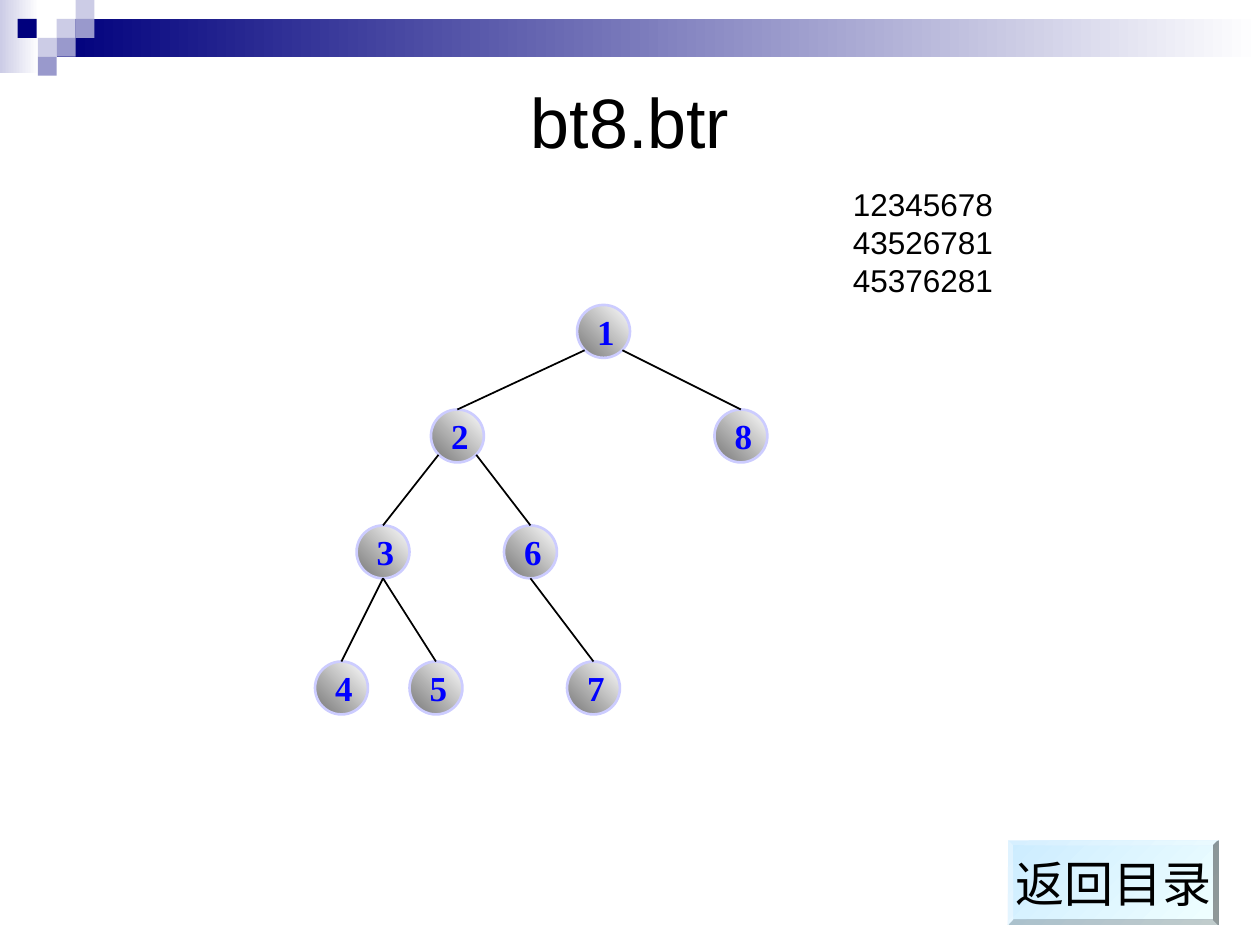
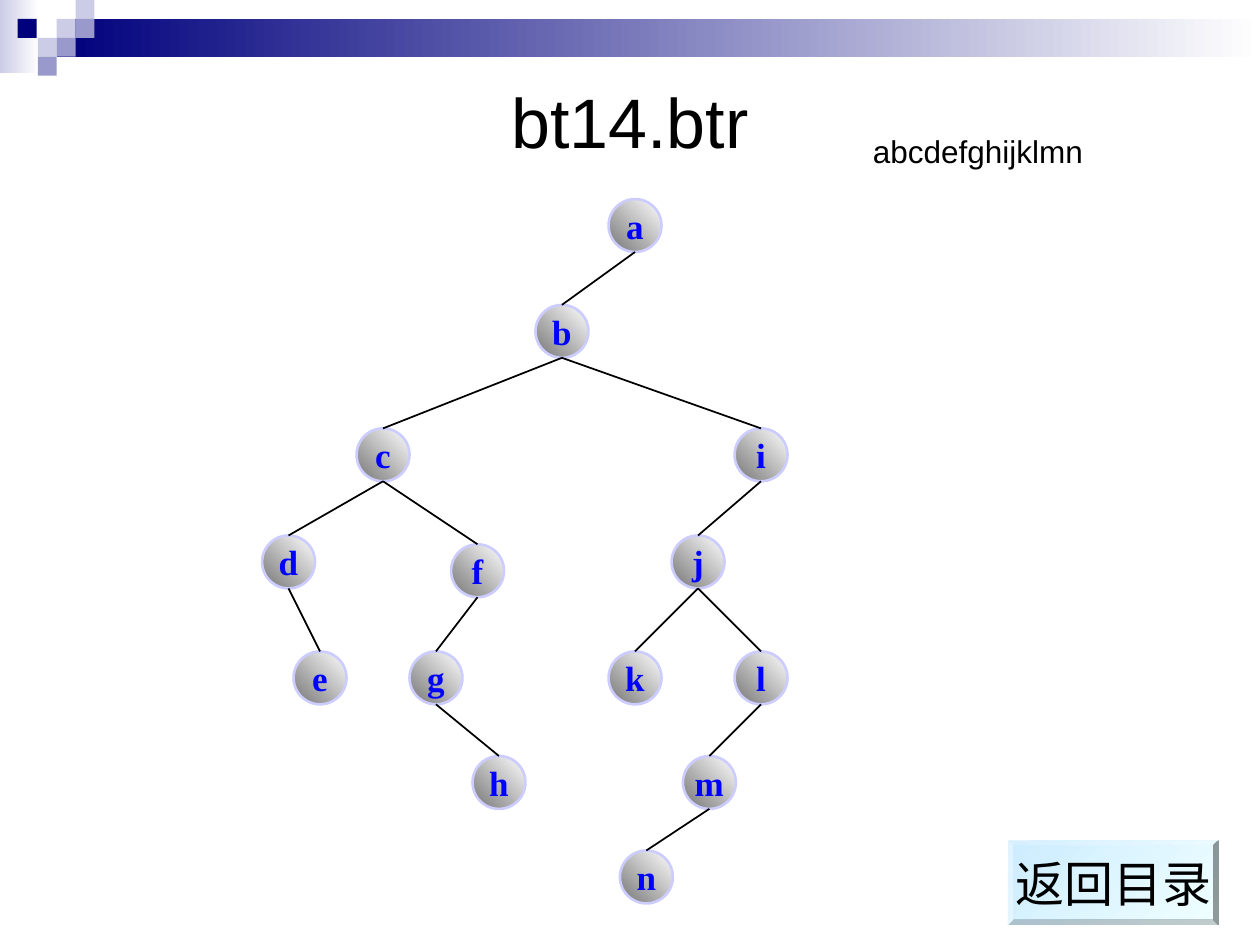
from dataclasses import dataclass

from lxml import etree
from pptx import Presentation
from pptx.dml.color import RGBColor
from pptx.enum import shapes as es, text as et
from pptx.oxml import ns
from pptx.util import Inches, Pt

NAVY = RGBColor(0x00, 0x00, 0x7D)
LILAC = RGBColor(0x99, 0x99, 0xCC)
PALE_LILAC = RGBColor(0xCC, 0xCC, 0xE6)
NODE_EDGE = RGBColor(0xCC, 0xCC, 0xFF)
NODE_DARK = RGBColor(0x76, 0x76, 0x76)
NODE_TEXT = RGBColor(0x00, 0x00, 0xFF)
BUTTON_BLUE = RGBColor(0xCC, 0xEC, 0xFF)
BUTTON_LIGHT = RGBColor(0xF0, 0xFF, 0xFF)
WHITE = RGBColor(0xFF, 0xFF, 0xFF)
BLACK = RGBColor(0x00, 0x00, 0x00)
SANS, SERIF = "Arial", "Times New Roman"
NODE_SIZE = 0.42
FORK_OFFSET = 0.15
TILE = 0.15


@dataclass(frozen=True)
class Node:
    key: str
    left: float
    top: float
    children: str = ""
    forks_at_sides: bool = False


@dataclass(frozen=True)
class Tree:
    title: str
    orders: tuple[str, ...]
    orders_box: tuple[float, float, float, float]
    align: et.PP_ALIGN
    nodes: tuple[Node, ...]


@dataclass(frozen=True)
class Band:
    left: float
    top: float
    width: float
    height: float
    start: RGBColor
    end: RGBColor | None = None


BANNER = (
    Band(0, 0, 0.31, 0.58, PALE_LILAC, WHITE),
    Band(0.45, 0.15, 9.55, 0.3, NAVY, WHITE),
    Band(0.14, 0.15, TILE, TILE, NAVY),
    *(Band(col * TILE, row * TILE, TILE, TILE, color) for col, row, color in (
        (3, 1, PALE_LILAC), (4, 0, PALE_LILAC), (4, 1, LILAC),
        (2, 2, PALE_LILAC), (3, 2, LILAC), (2, 3, LILAC))),
)

TREES = (
    Tree("bt8.btr", ("12345678", "43526781", "45376281"),
         (6.67, 1.42, 3.17, 1), et.PP_ALIGN.LEFT, (
             Node("1", 4.58, 2.42, "28", True),
             Node("2", 3.42, 3.25, "36", True),
             Node("8", 5.67, 3.25),
             Node("3", 2.83, 4.17, "45"),
             Node("6", 4, 4.17, "7"),
             Node("4", 2.5, 5.25),
             Node("5", 3.25, 5.25),
             Node("7", 4.5, 5.25))),
    Tree("bt14.btr", ("abcdefghijklmn",),
         (6.83, 1, 2.17, 0.4), et.PP_ALIGN.CENTER, (
             Node("a", 4.83, 1.58, "b"),
             Node("b", 4.25, 2.42, "ci"),
             Node("c", 2.83, 3.4, "df"),
             Node("i", 5.83, 3.4, "j"),
             Node("d", 2.08, 4.25, "e"),
             Node("f", 3.58, 4.32, "g"),
             Node("j", 5.33, 4.25, "kl"),
             Node("e", 2.33, 5.17),
             Node("g", 3.25, 5.17, "h"),
             Node("k", 4.83, 5.17),
             Node("l", 5.83, 5.17, "m"),
             Node("h", 3.75, 6),
             Node("m", 5.42, 6, "n"),
             Node("n", 4.92, 6.75))),
)


def fill_gradient(shape, start: RGBColor, end: RGBColor, angle: float) -> None:
    shape.fill.gradient()
    shape.fill.gradient_angle = angle
    for stop, color in zip(shape.fill.gradient_stops, (start, end)):
        stop.color.rgb = color


def write(shape, content: str, size: float, color: RGBColor, font: str = SANS,
          bold: bool = False, align: et.PP_ALIGN = et.PP_ALIGN.CENTER,
          anchor: et.MSO_ANCHOR = et.MSO_ANCHOR.MIDDLE, wrap: bool = False) -> None:
    frame = shape.text_frame
    frame.text = content
    frame.word_wrap = wrap
    frame.vertical_anchor = anchor
    for paragraph in frame.paragraphs:
        paragraph.alignment = align
        for run in paragraph.runs:
            run.font.name, run.font.size, run.font.bold = font, Pt(size), bold
            run.font.color.rgb = color


def add_plain_shape(slide, kind, left: float, top: float, width: float, height: float):
    shape = slide.shapes.add_shape(
        kind, Inches(left), Inches(top), Inches(width), Inches(height))
    shape.shadow.inherit = False
    shape.line.fill.background()
    return shape


def move_banner_to_layout(slide, layout) -> None:
    for placeholder in list(layout.placeholders):
        if placeholder.placeholder_format.type != es.PP_PLACEHOLDER.TITLE:
            placeholder.element.getparent().remove(placeholder.element)
    for position, band in enumerate(BANNER, start=2):
        strip = add_plain_shape(slide, es.MSO_SHAPE.RECTANGLE,
                                band.left, band.top, band.width, band.height)
        if band.end is None:
            strip.fill.solid()
            strip.fill.fore_color.rgb = band.start
        else:
            fill_gradient(strip, band.start, band.end, 0)
        layout.shapes.element.insert(position, strip.element)


def add_title(slide, title: str) -> None:
    heading = slide.shapes.title
    heading.left, heading.top = Inches(0.5), Inches(0.5)
    heading.width, heading.height = Inches(9), Inches(0.92)
    write(heading, title, 40, BLACK, wrap=True)


def add_node(slide, node: Node, align: et.PP_ALIGN):
    circle = add_plain_shape(slide, es.MSO_SHAPE.OVAL,
                             node.left, node.top, NODE_SIZE, NODE_SIZE)
    fill_gradient(circle, NODE_DARK, WHITE, 45)
    circle.line.color.rgb = NODE_EDGE
    circle.line.width = Pt(1.5)
    write(circle, node.key, 20, NODE_TEXT, SERIF, True, align)
    return circle


def add_branch(slide, parent: Node, child: Node, child_circle) -> None:
    middle = NODE_SIZE / 2
    x, y = parent.left + middle, parent.top + NODE_SIZE
    if parent.forks_at_sides:
        x += FORK_OFFSET if child.left > parent.left else -FORK_OFFSET
        y = parent.top + middle + FORK_OFFSET
    branch = slide.shapes.add_connector(
        es.MSO_CONNECTOR.STRAIGHT, Inches(x), Inches(y),
        Inches(child.left + middle), Inches(child.top))
    branch.end_connect(child_circle, 0)
    branch.line.color.rgb = BLACK
    branch.line.width = Pt(1)
    etree.SubElement(branch.element.spPr, ns.qn("a:effectLst"))


def add_tree(slide, tree: Tree) -> None:
    nodes = {node.key: node for node in tree.nodes}
    circles = {node.key: add_node(slide, node, tree.align) for node in tree.nodes}
    for node in tree.nodes:
        for key in node.children:
            add_branch(slide, node, nodes[key], circles[key])


def add_return_button(slide) -> None:
    button = add_plain_shape(slide, es.MSO_SHAPE.BEVEL, 8, 6.67, 1.67, 0.67)
    button.adjustments[0] = 0.06
    fill_gradient(button, BUTTON_BLUE, BUTTON_LIGHT, 315)
    write(button, "返回目录", 28, BLACK)


def add_orders(slide, tree: Tree) -> None:
    orders = slide.shapes.add_textbox(*map(Inches, tree.orders_box))
    write(orders, "\n".join(tree.orders), 18, BLACK, align=et.PP_ALIGN.LEFT,
          anchor=et.MSO_ANCHOR.TOP, wrap=True)


def main() -> None:
    deck = Presentation()
    deck.slide_width, deck.slide_height = Inches(10), Inches(7.5)
    layout = deck.slide_layouts.get_by_name("Title Only")
    for index, tree in enumerate(TREES):
        slide = deck.slides.add_slide(layout)
        if index == 0:
            move_banner_to_layout(slide, layout)
        add_title(slide, tree.title)
        add_tree(slide, tree)
        add_return_button(slide)
        add_orders(slide, tree)
    deck.save("out.pptx")


if __name__ == "__main__":
    main()
